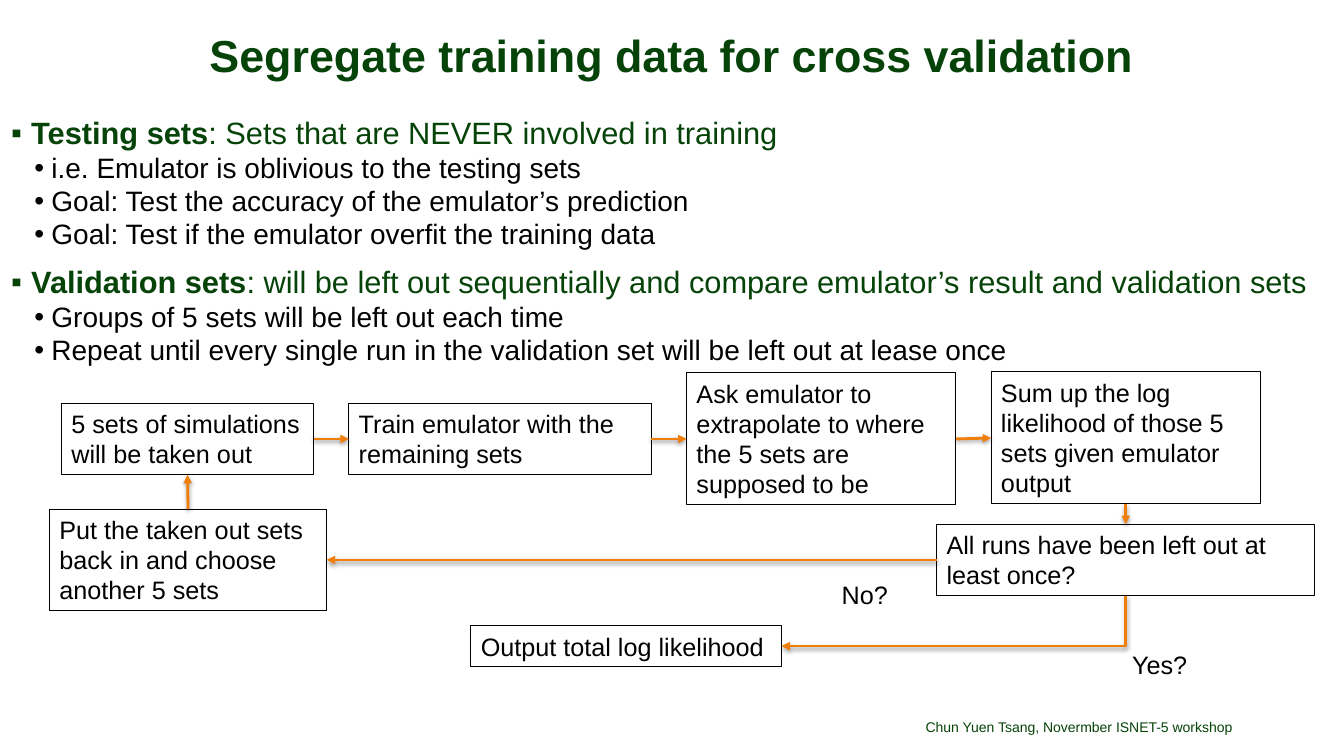
import lxml.etree
import pptx
import pptx.dml.color
import pptx.enum.shapes
import pptx.enum.text
import pptx.oxml.ns
import pptx.util

SCALE = 9144
GREEN = pptx.dml.color.RGBColor(0x06, 0x43, 0x08)
BLACK = pptx.dml.color.RGBColor(0, 0, 0)
ORANGE = pptx.dml.color.RGBColor(0xF0, 0x7F, 0x09)

ALIGN = pptx.enum.text.PP_ALIGN
ANCHOR = pptx.enum.text.MSO_ANCHOR
FIT = pptx.enum.text.MSO_AUTO_SIZE
LINK = pptx.enum.shapes.MSO_CONNECTOR
TOP, LEFT, BASE, RIGHT = range(4)

POINTS = [
    ("Testing sets", ": Sets that are NEVER involved in training", [
        "i.e. Emulator is oblivious to the testing sets",
        "Goal: Test the accuracy of the emulator’s prediction",
        "Goal: Test if the emulator overfit the training data",
    ]),
    ("Validation sets", ": will be left out sequentially and compare "
     "emulator’s result and validation sets", [
         "Groups of 5 sets will be left out each time",
         "Repeat until every single run in the validation set "
         "will be left out at lease once",
     ]),
]

STEPS = {
    "take": ((61, 400, 250, 71), "5 sets of simulations will be taken out"),
    "train": ((346, 400, 300, 71), "Train emulator with the remaining sets"),
    "ask": ((681, 370, 267, 131),
            "Ask emulator to extrapolate to where the 5 sets are supposed to be"),
    "sum": ((983, 369, 267, 131),
            "Sum up the log likelihood of those 5 sets given emulator output"),
    "check": ((929, 520, 375, 71), "All runs have been left out at least once?"),
    "swap": ((49, 505, 275, 101),
             "Put the taken out sets back in and choose another 5 sets"),
    "output": ((467, 621, 308, 40), "Output total log likelihood"),
}

ARROWS = [
    ("take", RIGHT, "train", LEFT),
    ("train", RIGHT, "ask", LEFT),
    ("ask", RIGHT, "sum", LEFT),
    ("sum", BASE, "check", TOP),
    ("check", LEFT, "swap", RIGHT),
    ("swap", TOP, "take", BASE),
]


def px(size):
    return pptx.util.Emu(size * SCALE)


def style(item, **values):
    for name, value in values.items():
        setattr(item, name, value)


def node(parent, tag, **values):
    return lxml.etree.SubElement(parent, pptx.oxml.ns.qn(tag), values)


def place(shape, area):
    style(shape, **dict(zip(("left", "top", "width", "height"), map(px, area))))


def frame(shape, sides=(10, 5), **values):
    wide, high = map(px, sides)
    style(shape.text_frame, word_wrap=True, margin_left=wide, margin_right=wide,
          margin_top=high, margin_bottom=high, **values)
    return shape.text_frame


def write(para, text, size=18, color=BLACK, bold=False):
    run = para.add_run()
    run.text = text
    style(run.font, name="Arial", size=pptx.util.Pt(size), bold=bold)
    run.font.color.rgb = color


def bullet(para, mark, edge, hang, before):
    style(para, line_spacing=0.9, space_before=pptx.util.Pt(before))
    props = para._p.get_or_add_pPr()
    props.set("marL", str(px(edge)))
    props.set("indent", str(px(-hang)))
    node(props, "a:buFont", typeface="Arial")
    node(props, "a:buChar", char=mark)


def title(slide, text):
    shape = slide.shapes.title
    place(shape, (11, 31, 1311, 53))
    body = frame(shape, (6, 2), vertical_anchor=ANCHOR.MIDDLE,
                 auto_size=FIT.SHAPE_TO_FIT_TEXT)
    para = body.paragraphs[0]
    style(para, alignment=ALIGN.CENTER, line_spacing=0.88)
    write(para, text, 32, GREEN, True)


def points(slide):
    body = frame(slide.shapes.add_textbox(*map(px, (11, 117, 1311, 550))), (0, 0))
    para = body.paragraphs[0]
    for term, rest, details in POINTS:
        if para.runs:
            para = body.add_paragraph()
        bullet(para, "▪", 20, 20, 12.1)
        write(para, term, 22, GREEN, True)
        write(para, rest, 22, GREEN)
        for detail in details:
            para = body.add_paragraph()
            para.level = 1
            bullet(para, "•", 40, 17, 2)
            write(para, detail, 20)


def label(slide, area, text):
    shape = slide.shapes.add_textbox(*map(px, area))
    body = frame(shape, auto_size=FIT.SHAPE_TO_FIT_TEXT)
    write(body.paragraphs[0], text)


def box(slide, area, text):
    kind = pptx.enum.shapes.MSO_SHAPE.RECTANGLE
    shape = slide.shapes.add_shape(kind, *map(px, area))
    shape.shadow.inherit = False
    shape.fill.background()
    shape.line.color.rgb = BLACK
    shape.line.width = pptx.util.Pt(0.75)
    body = frame(shape, vertical_anchor=ANCHOR.TOP,
                 auto_size=FIT.SHAPE_TO_FIT_TEXT)
    para = body.paragraphs[0]
    para.alignment = ALIGN.LEFT
    write(para, text)
    return shape


def arrow(slide, start, out, end, into, kind=LINK.STRAIGHT):
    line = slide.shapes.add_connector(kind, 0, 0, 0, 0)
    line.begin_connect(start, out)
    line.end_connect(end, into)
    line.line.color.rgb = ORANGE
    line.line.width = pptx.util.Pt(2)
    node(line.line._ln, "a:tailEnd", type="triangle")
    props = line._element.spPr
    shade = node(node(props, "a:effectLst"), "a:outerShdw",
                 blurRad=str(pptx.util.Pt(3.1)), dist=str(pptx.util.Pt(1.6)),
                 dir="5400000", rotWithShape="0")
    tint = node(shade, "a:srgbClr", val="000000")
    node(tint, "a:alpha", val="38000")
    return line


def elbow(slide, start, end):
    line = arrow(slide, start, BASE, end, RIGHT, LINK.ELBOW)
    wide, high = line.width, line.height
    shift = (wide - high) // 2
    style(line, left=line.left + shift, top=line.top - shift,
          width=high, height=wide)
    props = line._element.spPr
    turn = props.find(pptx.oxml.ns.qn("a:xfrm"))
    turn.set("rot", "5400000")
    turn.set("flipH", "0")
    props.find(pptx.oxml.ns.qn("a:prstGeom")).set("prst", "bentConnector2")


def footer(slide, text):
    shape = slide.shapes.add_textbox(*map(px, (604, 695, 618, 40)))
    body = frame(shape, (0, 5), vertical_anchor=ANCHOR.BOTTOM)
    para = body.paragraphs[0]
    style(para, alignment=ALIGN.RIGHT, line_spacing=0.9)
    write(para, text, 10, GREEN)


def main():
    deck = pptx.Presentation()
    style(deck, slide_width=px(1333), slide_height=px(750))
    slide = deck.slides.add_slide(deck.slide_layouts.get_by_name("Title Only"))
    title(slide, "Segregate training data for cross validation")
    points(slide)
    steps = {name: box(slide, *step) for name, step in STEPS.items()}
    for start, out, end, into in ARROWS:
        arrow(slide, steps[start], out, steps[end], into)
    elbow(slide, steps["check"], steps["output"])
    label(slide, (825, 570, 117, 40), "No?")
    label(slide, (1113, 639, 117, 40), "Yes?")
    footer(slide, "Chun Yuen Tsang, Novermber ISNET-5 workshop")
    deck.save("out.pptx")


if __name__ == "__main__":
    main()
